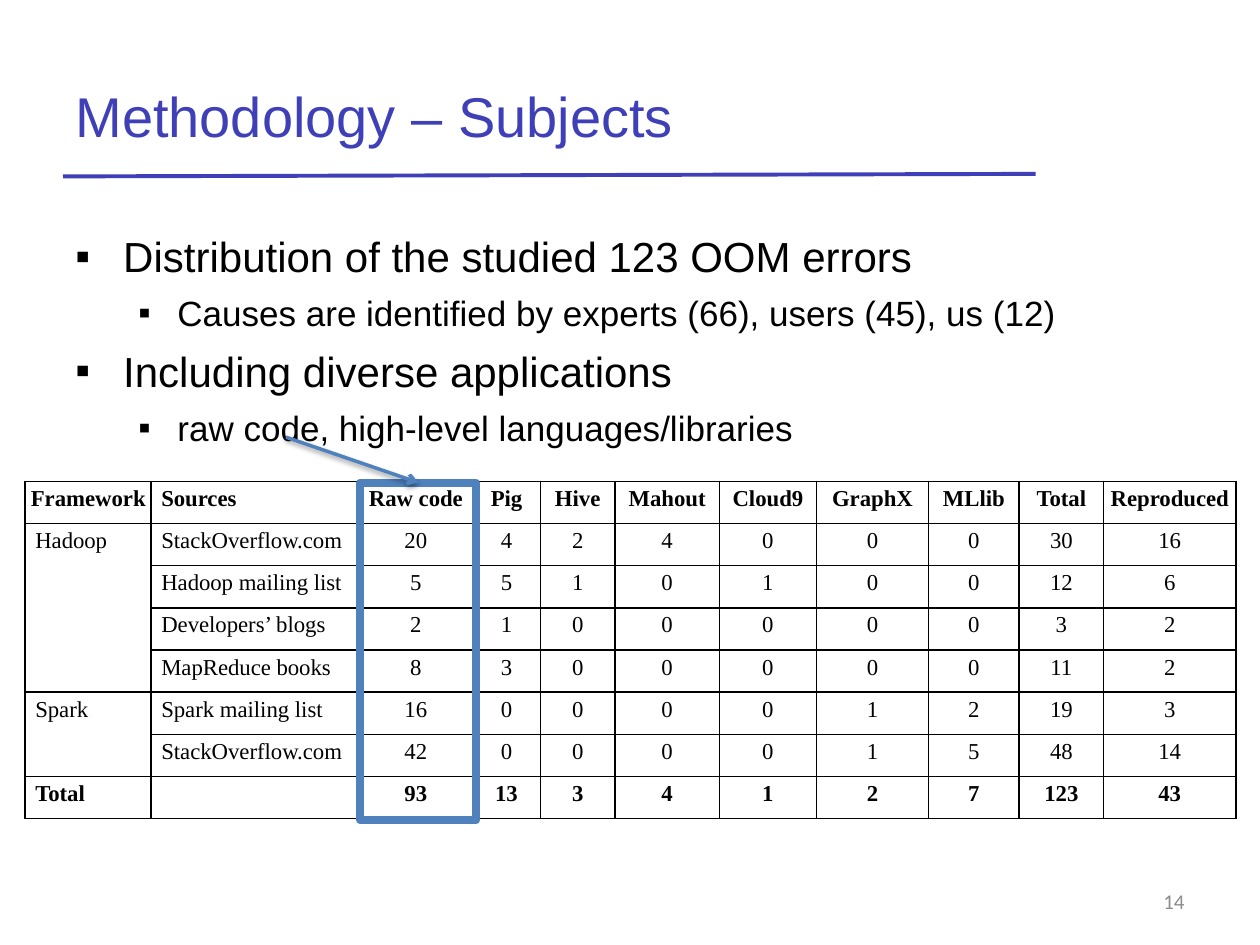
import pptx
import pptx.dml.color
import pptx.enum.shapes
import pptx.enum.text
import pptx.oxml
import pptx.oxml.ns
import pptx.util
from pptx.util import Inches, Pt

ALIGN = pptx.enum.text.PP_ALIGN
ANCHOR = pptx.enum.text.MSO_ANCHOR
STRAIGHT = pptx.enum.shapes.MSO_CONNECTOR.STRAIGHT
COLORS = {"title": "3F40B8", "text": "000000", "number": "8C8C8C", "accent": "4F81BD"}

TITLE = "Methodology – Subjects"
PAGE_NUMBER = "14"
BULLETS = [
    (0, "Distribution of the studied 123 OOM errors"),
    (1, "Causes are identified by experts (66), users (45), us (12)"),
    (0, "Including diverse applications"),
    (1, "raw code, high-level languages/libraries"),
]
LEVELS = [
    {"size": 24, "margin": 0.38, "indent": -0.38, "before": 6.7},
    {"size": 20, "margin": 0.81, "indent": -0.31, "before": 6},
]

SUBJECTS = [
    ["Framework", "Sources", "Raw code", "Pig", "Hive", "Mahout", "Cloud9", "GraphX",
     "MLlib", "Total", "Reproduced"],
    ["Hadoop", "StackOverflow.com", 20, 4, 2, 4, 0, 0, 0, 30, 16],
    ["", "Hadoop mailing list", 5, 5, 1, 0, 1, 0, 0, 12, 6],
    ["", "Developers’ blogs", 2, 1, 0, 0, 0, 0, 0, 3, 2],
    ["", "MapReduce books", 8, 3, 0, 0, 0, 0, 0, 11, 2],
    ["Spark", "Spark mailing list", 16, 0, 0, 0, 0, 1, 2, 19, 3],
    ["", "StackOverflow.com", 42, 0, 0, 0, 0, 1, 5, 48, 14],
    ["Total", "", 93, 13, 3, 4, 1, 2, 7, 123, 43],
]
FRAMEWORK_ROWS = [(1, 4), (5, 6)]
COLUMN_WIDTHS = [1, 1.65, 0.9, 0.54, 0.59, 0.83, 0.77, 0.89, 0.72, 0.67, 1.05]
TABLE_LEFT, TABLE_TOP, TABLE_HEIGHT = 0.2, 3.82, 2.68
CELL_SIZE = 13


def rgb(name):
    return pptx.dml.color.RGBColor.from_string(COLORS[name])


def add_xml(parent, xml):
    start, rest = xml.split(">", 1)
    slash = "/" if start.endswith("/") else ""
    start = start.rstrip("/") + " " + pptx.oxml.ns.nsdecls("a") + slash
    parent.append(pptx.oxml.parse_xml(start + ">" + rest))


def write(para, text, size, name="Arial", color="text", bold=False):
    span = para.add_run()
    span.text = text
    formats = {"size": Pt(size), "name": name, "bold": bold}
    for key, value in formats.items():
        setattr(span.font, key, value)
    span.font.color.rgb = rgb(color)


def add_box(page, left, top, width, height, anchor):
    box = page.shapes.add_textbox(*map(Inches, (left, top, width, height)))
    box.text_frame.word_wrap = True
    box.text_frame.vertical_anchor = anchor
    return box.text_frame


def add_line(page, start, end, color, width, effects=""):
    line = page.shapes.add_connector(STRAIGHT, *map(Inches, start + end))
    line.line.color.rgb = rgb(color)
    line.line.width = Pt(width)
    add_xml(line._element.spPr, f"<a:effectLst>{effects}</a:effectLst>")
    return line


def add_bullets(page):
    frame = add_box(page, 0.5, 1.75, 9, 4.95, ANCHOR.TOP)
    frame.margin_top = Inches(0.08)
    for index, (depth, text) in enumerate(BULLETS):
        level = LEVELS[depth]
        para = frame.add_paragraph() if index else frame.paragraphs[0]
        para.level = depth
        properties = para._p.get_or_add_pPr()
        properties.set("marL", str(Inches(level["margin"])))
        properties.set("indent", str(Inches(level["indent"])))
        add_xml(properties, '<a:buFont typeface="Arial"/>')
        add_xml(properties, '<a:buChar char="▪"/>')
        if index:
            para.space_before = Pt(level["before"])
        write(para, text, level["size"])


def fill_cell(cell, text, centred, left_margin, bold):
    margins = {"margin_left": left_margin, "margin_right": 0.04,
               "margin_top": 0.04, "margin_bottom": 0.04}
    for key, value in margins.items():
        setattr(cell, key, Inches(value))
    para = cell.text_frame.paragraphs[0]
    para.alignment = ALIGN.CENTER if centred else ALIGN.LEFT
    if text:
        write(para, text, CELL_SIZE, "Times New Roman", bold=bold)
    else:
        add_xml(para._p, f'<a:endParaRPr sz="{CELL_SIZE * 100}"/>')
    properties = cell._tc.get_or_add_tcPr()
    for side in ("lnL", "lnR", "lnT", "lnB"):
        add_xml(properties, f'<a:{side} w="{Pt(1)}"><a:solidFill><a:srgbClr '
                            f'val="{COLORS["text"]}"/></a:solidFill></a:{side}>')
    cell.fill.background()


def add_subjects(page):
    size = (sum(COLUMN_WIDTHS), TABLE_HEIGHT)
    table = page.shapes.add_table(
        len(SUBJECTS), len(COLUMN_WIDTHS),
        *map(Inches, (TABLE_LEFT, TABLE_TOP) + size)).table
    table.first_row = table.horz_banding = False
    for column, width in zip(table.columns, COLUMN_WIDTHS):
        column.width = Inches(width)
    last = len(SUBJECTS) - 1
    for row, values in enumerate(SUBJECTS):
        table.rows[row].height = Inches(TABLE_HEIGHT / len(SUBJECTS))
        for column, value in enumerate(values):
            centred = column > 1 or (row, column) == (0, 0)
            fill_cell(table.cell(row, column), str(value), centred,
                      0.04 if centred else 0.08, row in (0, last))
    for first, final in FRAMEWORK_ROWS:
        table.cell(first, 0).merge(table.cell(final, 0))


def add_highlight(page):
    """Frame the raw code column and point at it from the bullet above."""
    frame = page.shapes.add_shape(
        pptx.enum.shapes.MSO_SHAPE.RECTANGLE, *map(Inches, (2.86, 3.83, 0.92, 2.68)))
    frame.shadow.inherit = False
    frame.fill.background()
    frame.line.color.rgb = rgb("accent")
    frame.line.width = Pt(4.5)
    shadow = (f'<a:outerShdw blurRad="{Pt(3.1)}" dist="{Pt(1.6)}" dir="5400000" '
              'rotWithShape="0"><a:srgbClr val="000000"><a:alpha val="38000"/>'
              '</a:srgbClr></a:outerShdw>')
    arrow = add_line(page, (2.27, 3.47), (3.32, 3.83), "accent", 2, shadow)
    arrow.end_connect(frame, 0)
    add_xml(arrow.line._get_or_add_ln(), '<a:tailEnd type="arrow"/>')


def main():
    deck = pptx.Presentation()
    deck.slide_width, deck.slide_height = Inches(10), Inches(7.5)
    page = deck.slides.add_slide(deck.slide_layouts[6])
    add_line(page, (0.5, 1.4), (8.22, 1.38), "title", 2.25)
    title = add_box(page, 0.5, 0.45, 9, 0.93, ANCHOR.MIDDLE)
    write(title.paragraphs[0], TITLE, 32, color="title")
    add_bullets(page)
    number = add_box(page, 7.17, 6.95, 2.33, 0.4, ANCHOR.MIDDLE).paragraphs[0]
    number.alignment = ALIGN.RIGHT
    write(number, PAGE_NUMBER, 12, "Calibri", "number")
    add_subjects(page)
    add_highlight(page)
    deck.save("out.pptx")


if __name__ == "__main__":
    main()
